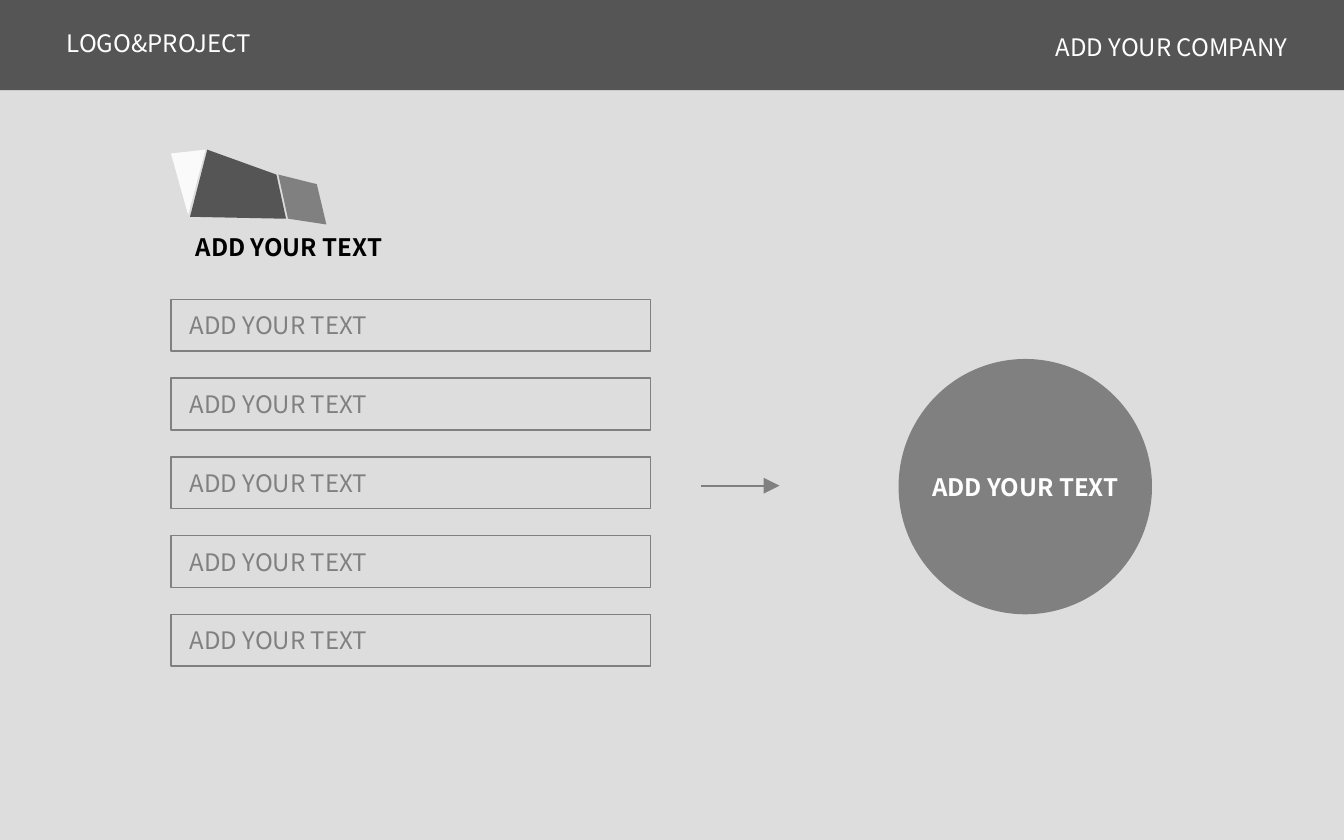
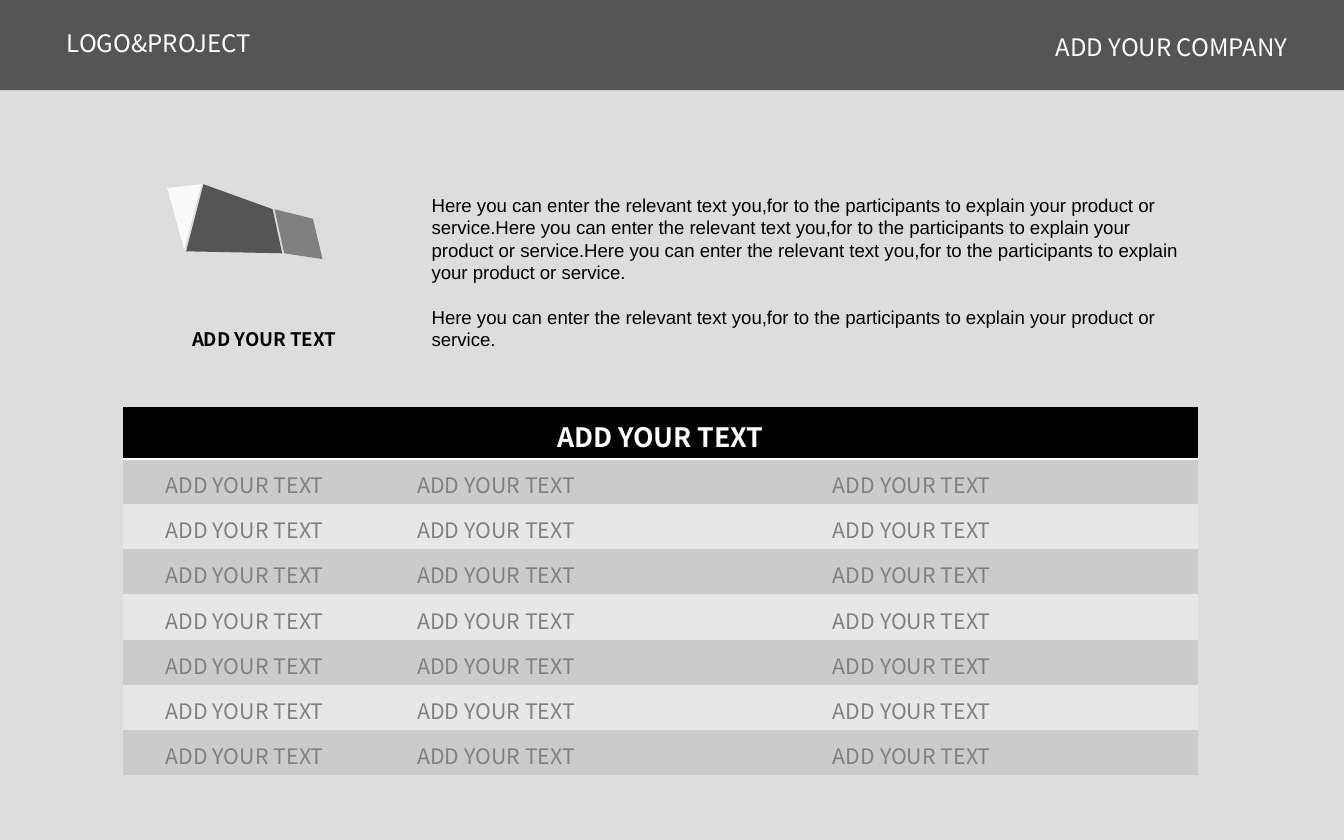
import lxml.etree
import pptx
import pptx.dml.color
import pptx.enum.shapes
import pptx.enum.text
import pptx.oxml
import pptx.oxml.ns
import pptx.util

Inches = pptx.util.Inches
Pt = pptx.util.Pt
RGBColor = pptx.dml.color.RGBColor
Shapes = pptx.enum.shapes.MSO_SHAPE
Align = pptx.enum.text.PP_ALIGN
Anchor = pptx.enum.text.MSO_ANCHOR
qn = pptx.oxml.ns.qn

BLACK = RGBColor(0x00, 0x00, 0x00)
WHITE = RGBColor(0xFF, 0xFF, 0xFF)
GRAY = RGBColor(0x80, 0x80, 0x80)
BACKGROUND = RGBColor(0xDD, 0xDD, 0xDD)
ROW_DARK = RGBColor(0xCB, 0xCB, 0xCB)
ROW_LIGHT = RGBColor(0xE7, 0xE7, 0xE7)

HEADING_FONT = "Noto Sans CJK SC"
BODY_FONT = "Arial"
LABEL = "ADD YOUR TEXT"
NO_STYLE_TABLE = "{2D5ABB26-0587-4C30-8999-92F81FD0307C}"

HEADER_TEXTS = [
    ("LOGO&PROJECT", 0.25, 0.1, 1.17),
    ("ADD YOUR COMPANY", 5.4, 0.12, 1.42),
]
EMBLEM_PARTS = [
    ([(1.08, 0.78), (0.99, 1.13), (1.49, 1.14), (1.44, 0.91)], BLACK, 61),
    ([(1.45, 0.91), (1.5, 1.14), (1.7, 1.17), (1.65, 0.96)], GRAY, 100),
    ([(0.89, 0.8), (1.07, 0.78), (0.98, 1.12)], WHITE, 88),
]
# title left, top, width, height; title size; emblem shift right, down
SLIDE_LAYOUTS = [
    ((0.92, 1.16, 1.19, 0.25), 9, (0, 0)),
    ((0.9, 1.66, 0.96, 0.22), 7, (-0.02, 0.18)),
]
SENTENCE = ("Here you can enter the relevant text you,for to the participants "
            "to explain your product or service.")


def paint(shape, color, opacity=100):
    """Give a shape a plain fill without line or shadow; opacity in percent."""
    shape.shadow.inherit = False
    shape.line.fill.background()
    shape.fill.solid()
    shape.fill.fore_color.rgb = color
    if opacity < 100:
        color_element = shape.fill._xPr.find(".//" + qn("a:srgbClr"))
        alpha = lxml.etree.SubElement(color_element, qn("a:alpha"))
        alpha.set("val", str(opacity * 1000))


def write(frame, texts, size, color, bold=False, font=HEADING_FONT,
          align=Align.LEFT, anchor=Anchor.TOP, wrap=False, gap=0):
    """Fill a text frame with equally formatted paragraphs, gap points apart."""
    frame_format = {
        "word_wrap": wrap, "vertical_anchor": anchor,
        "auto_size": pptx.enum.text.MSO_AUTO_SIZE.NONE,
        "margin_left": Inches(0.1), "margin_right": Inches(0.1),
        "margin_top": Inches(0.05), "margin_bottom": Inches(0.05),
    }
    for name, value in frame_format.items():
        setattr(frame, name, value)
    frame.text = "\n".join(texts)
    for index, paragraph in enumerate(frame.paragraphs):
        paragraph.alignment = align
        paragraph.space_before = Pt(gap if index else 0)
        run_font = paragraph.runs[0].font
        for name, value in {"size": Pt(size), "bold": bold, "name": font}.items():
            setattr(run_font, name, value)
        run_font.color.rgb = color


presentation = pptx.Presentation()
presentation.slide_width = Inches(7)
presentation.slide_height = Inches(7 * 10 / 16)
master_fill = presentation.slide_master.background.fill
master_fill.solid()
master_fill.fore_color.rgb = BACKGROUND

# Band, header texts, title and emblem on both slides
for title_box, title_size, (shift_x, shift_y) in SLIDE_LAYOUTS:
    slide = presentation.slides.add_slide(presentation.slide_layouts[5])
    band = slide.shapes.add_shape(Shapes.RECTANGLE, 0, 0, Inches(7), Inches(0.47))
    paint(band, BLACK, 61)
    for text, left, top, width in HEADER_TEXTS:
        box = slide.shapes.add_textbox(
            Inches(left), Inches(top), Inches(width), Inches(0.25))
        write(box.text_frame, [text], 9, WHITE)

    title = slide.shapes.title
    for name, value in zip(("left", "top", "width", "height"), title_box):
        setattr(title, name, Inches(value))
    write(title.text_frame, [LABEL], title_size, BLACK, bold=True)

    for corners, color, opacity in EMBLEM_PARTS:
        points = [(Inches(x + shift_x), Inches(y + shift_y)) for x, y in corners]
        builder = slide.shapes.build_freeform(*points[0])
        builder.add_line_segments(points[1:], close=True)
        paint(builder.convert_to_shape(), color, opacity)

list_slide, table_slide = presentation.slides

# Slide 1: five boxes leading to a circle
for index in range(5):
    box = list_slide.shapes.add_shape(
        Shapes.RECTANGLE, Inches(0.89), Inches(1.56 + 0.41 * index),
        Inches(2.5), Inches(0.27))
    box.shadow.inherit = False
    box.fill.background()
    box.line.color.rgb = GRAY
    box.line.width = Pt(0.5)
    write(box.text_frame, [LABEL], 9, GRAY, anchor=Anchor.MIDDLE, wrap=True)

arrow = list_slide.shapes.add_connector(
    pptx.enum.shapes.MSO_CONNECTOR.STRAIGHT,
    Inches(3.65), Inches(2.53), Inches(4.06), Inches(2.53))
arrow.line.color.rgb = GRAY
arrow.line.width = Pt(0.75)
arrow_head = lxml.etree.SubElement(arrow.line._get_or_add_ln(), qn("a:tailEnd"))
arrow_head.set("type", "triangle")
lxml.etree.SubElement(arrow._element.spPr, qn("a:effectLst"))

circle = list_slide.shapes.add_shape(
    Shapes.OVAL, Inches(4.68), Inches(1.87), Inches(1.32), Inches(1.33))
paint(circle, GRAY)
write(circle.text_frame, [LABEL], 9, WHITE, bold=True,
      align=Align.CENTER, anchor=Anchor.MIDDLE)

# Slide 2: description and table
description = table_slide.shapes.add_textbox(
    Inches(2.15), Inches(0.96), Inches(4.1), Inches(0.92))
write(description.text_frame, [SENTENCE * 3, SENTENCE], 7, BLACK,
      font=BODY_FONT, wrap=True, gap=8.4)

table = table_slide.shapes.add_table(
    8, 3, Inches(0.64), Inches(2.12), Inches(5.6), Inches(1.92)).table
table.first_row = False
table.horz_banding = False
table._tbl.tblPr.find(qn("a:tableStyleId")).text = NO_STYLE_TABLE
for column, width in zip(table.columns, (1.27, 1.35, 2.98)):
    column.width = Inches(width)

for row_index, row in enumerate(table.rows):
    is_header = row_index == 0
    row.height = Inches(0.27) if is_header else Inches((1.92 - 0.27) / 7)
    fill_color = BLACK if is_header else (ROW_LIGHT, ROW_DARK)[row_index % 2]
    white_edge = {0: "a:lnB", 1: "a:lnT"}.get(row_index)
    for column_index, cell in enumerate(row.cells):
        if not is_header or column_index == 0:
            size, color = (10, WHITE) if is_header else (8, GRAY)
            write(cell.text_frame, [LABEL], size, color, bold=is_header,
                  align=Align.CENTER, wrap=True)
        cell.margin_top = Inches(0.05)
        cell.margin_bottom = Inches(0.02)
        cell.fill.solid()
        cell.fill.fore_color.rgb = fill_color
        for position, edge in enumerate(("a:lnL", "a:lnR", "a:lnT", "a:lnB")):
            border = lxml.etree.Element(qn(edge), w=str(Pt(0.96)))
            if edge == white_edge:
                border_fill = lxml.etree.SubElement(border, qn("a:solidFill"))
                lxml.etree.SubElement(border_fill, qn("a:srgbClr"), val=str(WHITE))
            else:
                lxml.etree.SubElement(border, qn("a:noFill"))
            cell._tc.get_or_add_tcPr().insert(position, border)
table.cell(0, 0).merge(table.cell(0, 2))

presentation.save("out.pptx")
